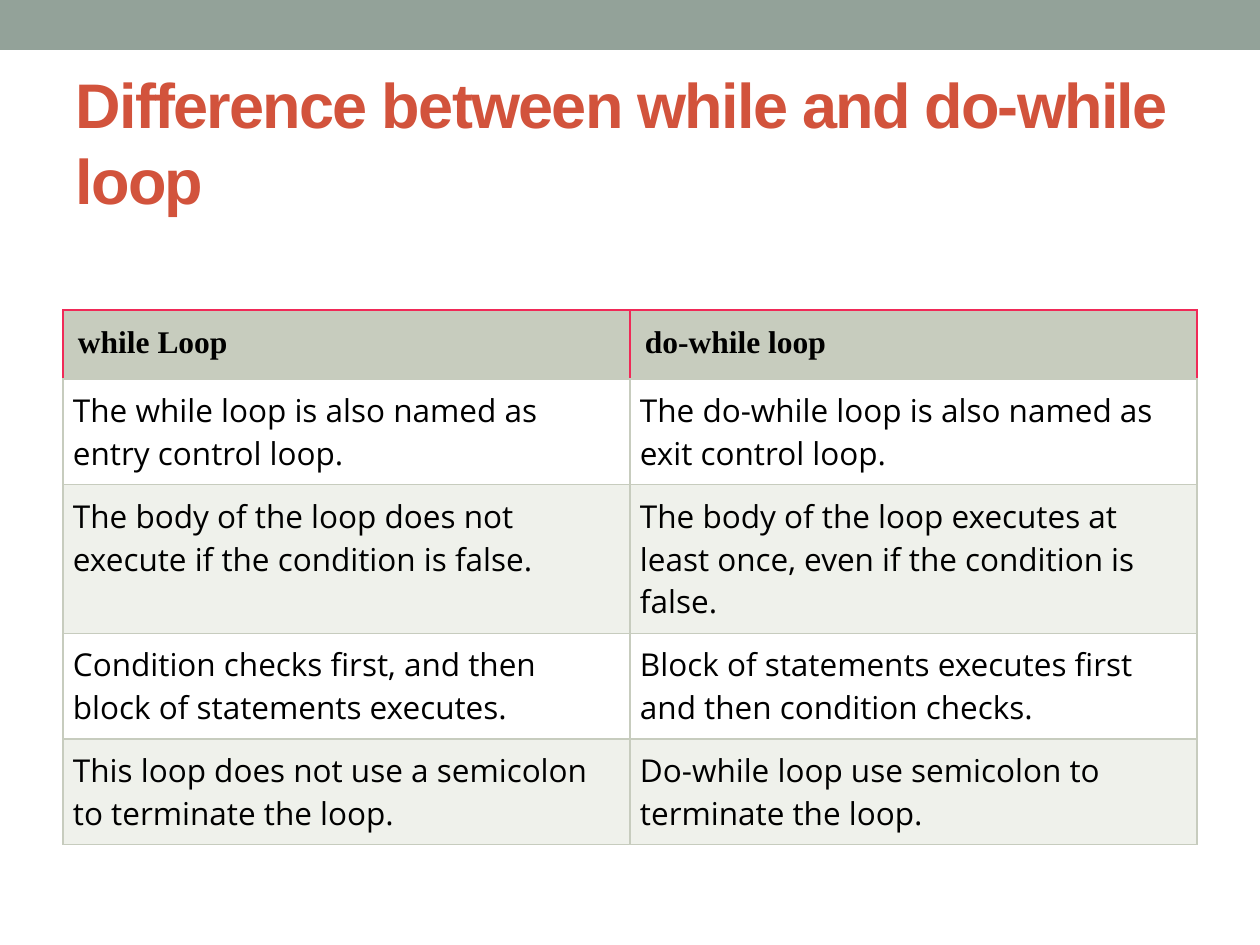
"""Build a slide that compares while and do-while loops in a table."""
from lxml import etree
from pptx import Presentation, util as u
from pptx.dml.color import RGBColor
from pptx.enum import shapes, text
from pptx.oxml.ns import qn

TITLE = "Difference between while and do-while loop"
ROWS = [
    ("while Loop", "do-while loop"),
    ("The while loop is also named as entry control loop.",
     "The do-while loop is also named as exit control loop."),
    ("The body of the loop does not execute if the condition is false.",
     "The body of the loop executes at least once, even if the condition is false."),
    ("Condition checks first, and then block of statements executes.",
     "Block of statements executes first and then condition checks."),
    ("This loop does not use a semicolon to terminate the loop.",
     "Do-while loop use semicolon to terminate the loop."),
]
ROW_HEIGHTS = [69, 96, 134, 96, 96]
COLORS = {"band": "93A299", "title": "D2533C", "text": "000000", "header": "C7CCBE",
          "plain": "FFFFFF", "striped": "EFF1EB", "rule": "C7CCBE", "accent": "F02957"}
PAGE_WIDTH, PAGE_HEIGHT = 1260, 945
MARGIN = 63
CONTENT_WIDTH = PAGE_WIDTH - 2 * MARGIN
TABLE_TOP = 310


def px(length):
    return u.Emu(round(length * 914400 / 126))


def color(name):
    return RGBColor.from_string(COLORS[name])


def style_span(span, font, size, color_name, bold):
    span.font.name = font
    span.font.size = u.Pt(size)
    span.font.bold = bold
    span.font.color.rgb = color(color_name)


def set_borders(cell, side_colors):
    properties = cell._tc.get_or_add_tcPr()
    for position, (side, name) in enumerate(side_colors.items()):
        line = etree.Element(qn(f"a:ln{side}"), w=str(u.Pt(0.75)))
        fill = etree.SubElement(line, qn("a:solidFill"))
        etree.SubElement(fill, qn("a:srgbClr"), val=COLORS[name])
        properties.insert(position, line)


def add_band(page):
    band = page.shapes.add_shape(shapes.MSO_SHAPE.RECTANGLE, 0, 0, px(PAGE_WIDTH), px(50))
    band.shadow.inherit = False
    band.fill.solid()
    band.fill.fore_color.rgb = color("band")
    band.line.fill.background()


def add_title(page):
    box = page.shapes.title
    box.left, box.top, box.width, box.height = map(px, (MARGIN, 73, CONTENT_WIDTH, 136))
    frame = box.text_frame
    frame.text = TITLE
    frame.word_wrap = True
    frame.auto_size = text.MSO_AUTO_SIZE.NONE
    frame.vertical_anchor = text.MSO_ANCHOR.MIDDLE
    para = frame.paragraphs[0]
    para.alignment = text.PP_ALIGN.LEFT
    span = para.runs[0]
    style_span(span, "Arial", 36, "title", True)
    span.font._element.set("spc", "-100")


def fill_cell(cell, words, row):
    header = row == 0
    cell.text = words
    inset = px(15 if header else 10)
    cell.margin_left = cell.margin_right = cell.margin_top = cell.margin_bottom = inset
    cell.fill.solid()
    cell.fill.fore_color.rgb = color("header" if header else "plain" if row % 2 else "striped")
    edge = "accent" if header else "rule"
    set_borders(cell, {"L": edge, "R": edge, "T": edge, "B": "rule"})
    font = "Times New Roman" if header else "Open Sans"
    style_span(cell.text_frame.paragraphs[0].runs[0], font, 18, "text", header)


def add_comparison(page):
    columns = len(ROWS[0])
    table = page.shapes.add_table(len(ROWS), columns, px(MARGIN), px(TABLE_TOP),
                                  px(CONTENT_WIDTH), px(sum(ROW_HEIGHTS))).table
    for column in table.columns:
        column.width = px(CONTENT_WIDTH / columns)
    for row, (height, entries) in enumerate(zip(ROW_HEIGHTS, ROWS)):
        table.rows[row].height = px(height)
        for column, words in enumerate(entries):
            fill_cell(table.cell(row, column), words, row)


def main():
    deck = Presentation()
    deck.slide_width, deck.slide_height = px(PAGE_WIDTH), px(PAGE_HEIGHT)
    page = deck.slides.add_slide(deck.slide_layouts[5])
    add_band(page)
    add_title(page)
    add_comparison(page)
    deck.save("out.pptx")


if __name__ == "__main__":
    main()
